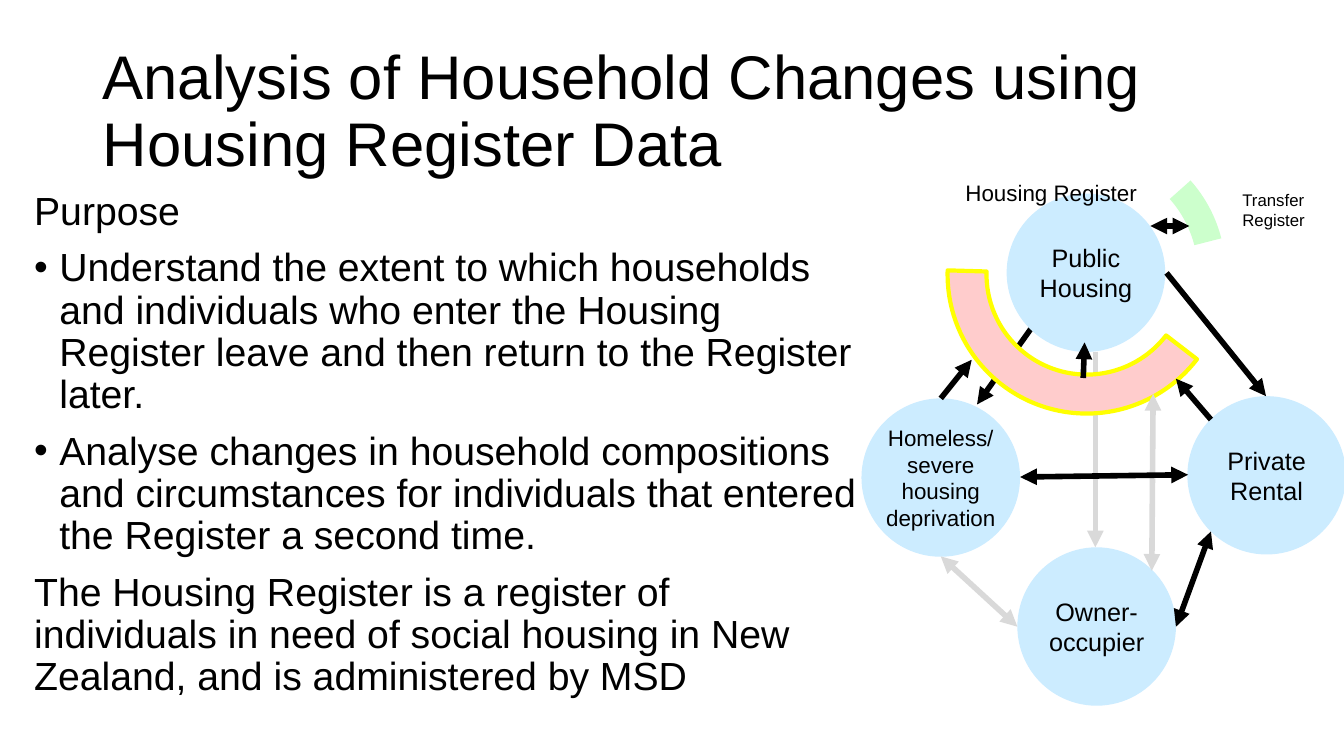
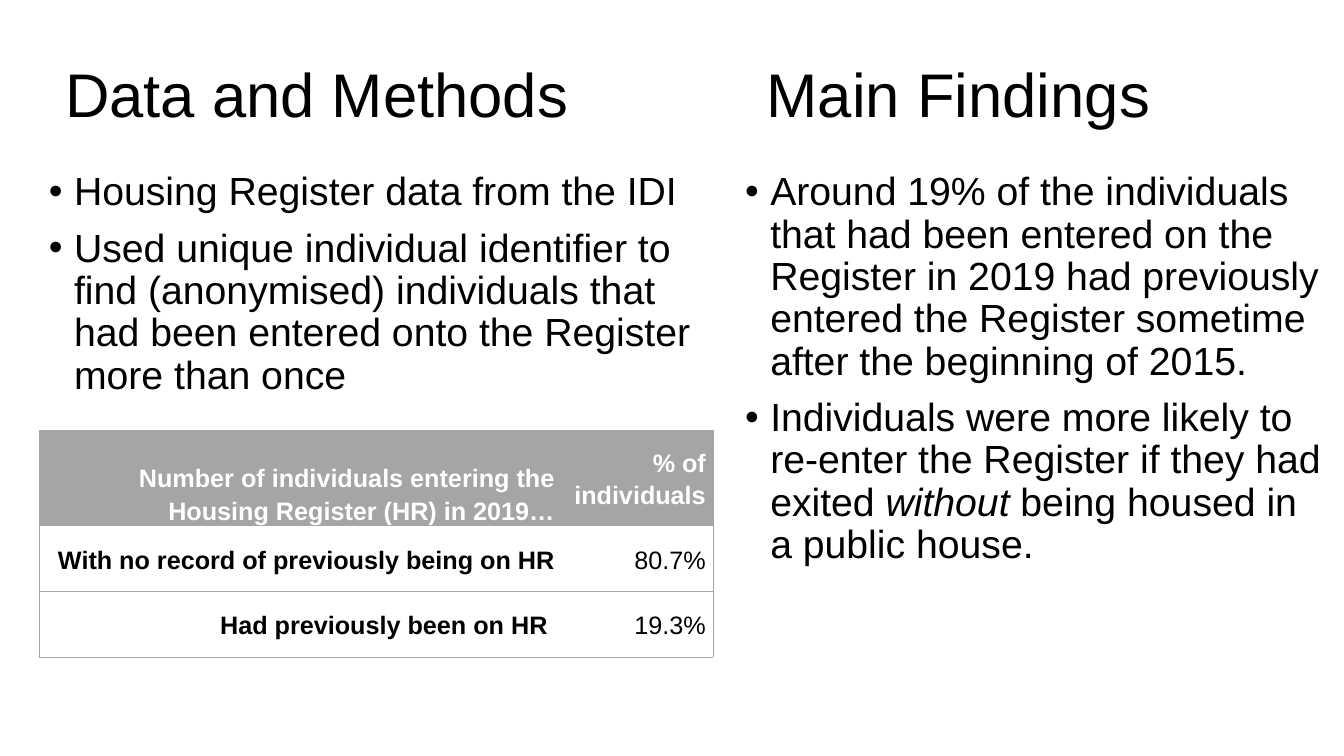
from dataclasses import dataclass

from lxml import etree
from pptx import Presentation
from pptx import util as u
from pptx.dml.color import RGBColor
from pptx.enum import shapes, text
from pptx.oxml import ns


@dataclass(frozen=True)
class Theme:
    font: str = "Arial"
    black: str = "000000"
    white: str = "FFFFFF"
    grey: str = "D9D9D9"
    blue: str = "CCECFF"
    pink: str = "FFCCCC"
    green: str = "CCFFCC"
    yellow: str = "FFFF00"
    table: str = "A5A5A5"
    title: int = 44
    body: int = 28
    label: int = 18
    small: int = 16
    tiny: int = 12
    arrow: int = 4
    outline: int = 3
    border: float = 0.5


def rgb(value):
    return RGBColor.from_string(value)


def add(parent, tag, **attrs):
    return etree.SubElement(parent, ns.qn(tag), attrs)


def write(tf, content, *, font, size, color, bold=False, align="LEFT",
          spacing=None, before=None, bullet=False, new=False):
    p = tf.add_paragraph() if new else tf.paragraphs[0]
    p.alignment = getattr(text.PP_ALIGN, align)
    p.line_spacing = spacing
    if before is not None:
        p.space_before = u.Pt(before)
    if bullet:
        pr = p._p.get_or_add_pPr()
        indent = u.Inches(0.25)
        pr.set("marL", str(indent))
        pr.set("indent", str(-indent))
        add(pr, "a:buFont", typeface=font)
        add(pr, "a:buChar", char="•")
    for i, part in enumerate(content.split("*")):
        r = p.add_run()
        r.text = part
        r.font.name = font
        r.font.size = u.Pt(size)
        r.font.bold = bold
        r.font.italic = i % 2 == 1
        r.font.color.rgb = rgb(color)


class Deck:
    def __init__(self, theme):
        self.t = theme
        self.prs = Presentation()
        self.prs.slide_width = u.Inches(13.333)
        self.prs.slide_height = u.Inches(7.5)
        self.s = None

    def slide(self):
        self.s = self.prs.slides.add_slide(self.prs.slide_layouts[6])

    def x(self, percent):
        return round(self.prs.slide_width * percent / 100)

    def y(self, percent):
        return round(self.prs.slide_height * percent / 100)

    def box(self, left, top, width, height):
        return self.x(left), self.y(top), self.x(width), self.y(height)

    def text_box(self, box, anchor="TOP"):
        tf = self.s.shapes.add_textbox(*self.box(*box)).text_frame
        tf.word_wrap = True
        tf.vertical_anchor = getattr(text.MSO_ANCHOR, anchor)
        return tf

    def title(self, content, left, top, width):
        tf = self.text_box((left, top, width, 19.3), "MIDDLE")
        write(tf, content, font=self.t.font, size=self.t.title,
              color=self.t.black, spacing=0.9)

    def body(self, box, *items):
        tf = self.text_box(box)
        for i, item in enumerate(items):
            write(tf, item.removeprefix("• "), font=self.t.font,
                  size=self.t.body, color=self.t.black, spacing=0.9,
                  before=10, bullet=item.startswith("• "), new=i > 0)

    def label(self, content, box, size):
        write(self.text_box(box), content, font=self.t.font, size=size,
              color=self.t.black)

    def shape(self, kind, box, fill, line=None):
        sp = self.s.shapes.add_shape(kind, *self.box(*box))
        sp.shadow.inherit = False
        sp.fill.solid()
        sp.fill.fore_color.rgb = rgb(fill)
        if line:
            sp.line.color.rgb = rgb(line)
            sp.line.width = u.Pt(self.t.outline)
        else:
            sp.line.fill.background()
        return sp

    def circle(self, content, left, top, size):
        sp = self.shape(shapes.MSO_SHAPE.OVAL, (left, top, 11.8, 20.95),
                        self.t.blue)
        tf = sp.text_frame
        tf.word_wrap = True
        tf.margin_left = tf.margin_right = 0
        tf.vertical_anchor = text.MSO_ANCHOR.MIDDLE
        write(tf, content, font=self.t.font, size=size, color=self.t.black,
              align="CENTER")

    def arc(self, top, rotation, adjustments, fill, line=None):
        sp = self.shape(shapes.MSO_SHAPE.BLOCK_ARC, (70.5, top, 20.7, 36.8),
                        fill, line)
        sp.rotation = rotation
        for i, value in enumerate(adjustments):
            sp.adjustments[i] = value

    def arrow(self, x1, y1, x2, y2, color=None, both=False):
        c = self.s.shapes.add_connector(
            shapes.MSO_CONNECTOR.STRAIGHT,
            self.x(x1), self.y(y1), self.x(x2), self.y(y2))
        c.line.color.rgb = rgb(color or self.t.black)
        c.line.width = u.Pt(self.t.arrow)
        ln = c.line._get_or_add_ln()
        if both:
            add(ln, "a:headEnd", type="triangle")
        add(ln, "a:tailEnd", type="triangle")
        add(c._element.spPr, "a:effectLst")

    def borders(self, cell, sides):
        pr = cell._tc.get_or_add_tcPr()
        for side in "LRTB":
            ln = add(pr, f"a:ln{side}", w=str(u.Pt(self.t.border)))
            if side in sides:
                add(add(ln, "a:solidFill"), "a:srgbClr", val=self.t.table)
            else:
                add(ln, "a:noFill")

    def table(self, left, top, widths, heights, rows):
        box = self.box(left, top, sum(widths), sum(heights))
        tbl = self.s.shapes.add_table(len(rows), len(widths), *box).table
        tbl.horz_banding = False
        for col, width in zip(tbl.columns, widths):
            col.width = self.x(width)
        for i, (row, height) in enumerate(zip(rows, heights)):
            tbl.rows[i].height = self.y(height)
            for j, content in enumerate(row):
                self.cell(tbl.cell(i, j), content, i == 0, j == 0)

    def cell(self, cell, content, header, first):
        self.borders(cell, ("L" if first else "R") + "TB")
        cell.fill.solid()
        cell.fill.fore_color.rgb = rgb(self.t.table if header else self.t.white)
        cell.margin_left = cell.margin_right = u.Inches(0.07)
        cell.margin_top = cell.margin_bottom = 0
        anchor = "BOTTOM" if header and first else "MIDDLE"
        cell.vertical_anchor = getattr(text.MSO_ANCHOR, anchor)
        write(cell.text_frame, content, font=self.t.font, size=self.t.label,
              color=self.t.white if header else self.t.black,
              bold=header or first, align="RIGHT", spacing=1.15)


def purpose(d):
    t = d.t
    d.slide()
    d.arrow(81.5, 46.5, 81.5, 72.4, t.grey)
    d.arrow(76.7, 43.5, 72.7, 53.5)
    d.title("Analysis of Household Changes using Housing Register Data",
            6.9, 5.3, 86.3)
    d.body(
        (1.8, 24.7, 62.65, 70.9),
        "Purpose",
        "• Understand the extent to which households and individuals who enter "
        "the Housing Register leave and then return to the Register later. ",
        "• Analyse changes in household compositions and circumstances for "
        "individuals that entered the Register a second time. ",
        "The Housing Register is a register of individuals in need of social "
        "housing in New Zealand, and is administered by MSD")
    for content, left, top, size in (
            ("Public Housing", 74.9, 25.6, t.label),
            ("Owner-occupier", 75.7, 72.4, t.label),
            ("Private Rental", 88.35, 52.4, t.label),
            ("Homeless/severe housing deprivation", 64.1, 52.7, t.small)):
        d.circle(content, left, top, size)
    d.arc(17.9, 180, (130.52, 1.01, 0.14), t.pink, t.yellow)
    d.arc(17.7, 346.1, (199.36, 215.7, 0.1), t.green)
    d.label("Housing Register", (71.1, 23.1, 19.4, 30.8), t.small)
    d.label("Transfer Register", (91.7, 24.4, 8, 6.7), t.tiny)
    for ends in ((80.6, 50, 80.7, 45.3), (86.8, 36.1, 94.2, 52.4),
                 (70, 52.7, 72.3, 47.6), (90.1, 55.5, 87.5, 50.1)):
        d.arrow(*ends)
    for color, *ends in ((t.black, 85.6, 29.9, 88.5, 29.9),
                         (t.black, 90.1, 70.3, 87.5, 82.9),
                         (t.grey, 75.7, 82.9, 70, 73.6),
                         (t.grey, 85.7, 75.5, 85.8, 52.1),
                         (t.black, 88.4, 62.8, 75.9, 63.1)):
        d.arrow(*ends, color=color, both=True)


def findings(d):
    d.slide()
    d.title("Main Findings", 56.3, 3.3, 36.5)
    d.body(
        (2.9, 22.1, 50.2, 34.1),
        "• Housing Register data from the IDI",
        "• Used unique individual identifier to find (anonymised) individuals "
        "that had been entered onto the Register more than once")
    d.body(
        (54.7, 22.1, 44.9, 63.5),
        "• Around 19% of the individuals that had been entered on the Register "
        "in 2019 had previously entered the Register sometime after the "
        "beginning of 2015.",
        "• Individuals were more likely to re-enter the Register if they had "
        "exited *without* being housed in a public house.")
    d.title("Data and Methods", 4.1, 3.3, 42.8)
    d.table(2.9, 56.9, (38.9, 11.25), (12.6, 8.7, 8.7), (
        ("Number of individuals entering the Housing Register (HR) in 2019…",
         "% of individuals"),
        ("With no record of previously being on HR", "80.7%"),
        ("Had previously been on HR ", "19.3%")))


deck = Deck(Theme())
purpose(deck)
findings(deck)
deck.prs.save("out.pptx")
